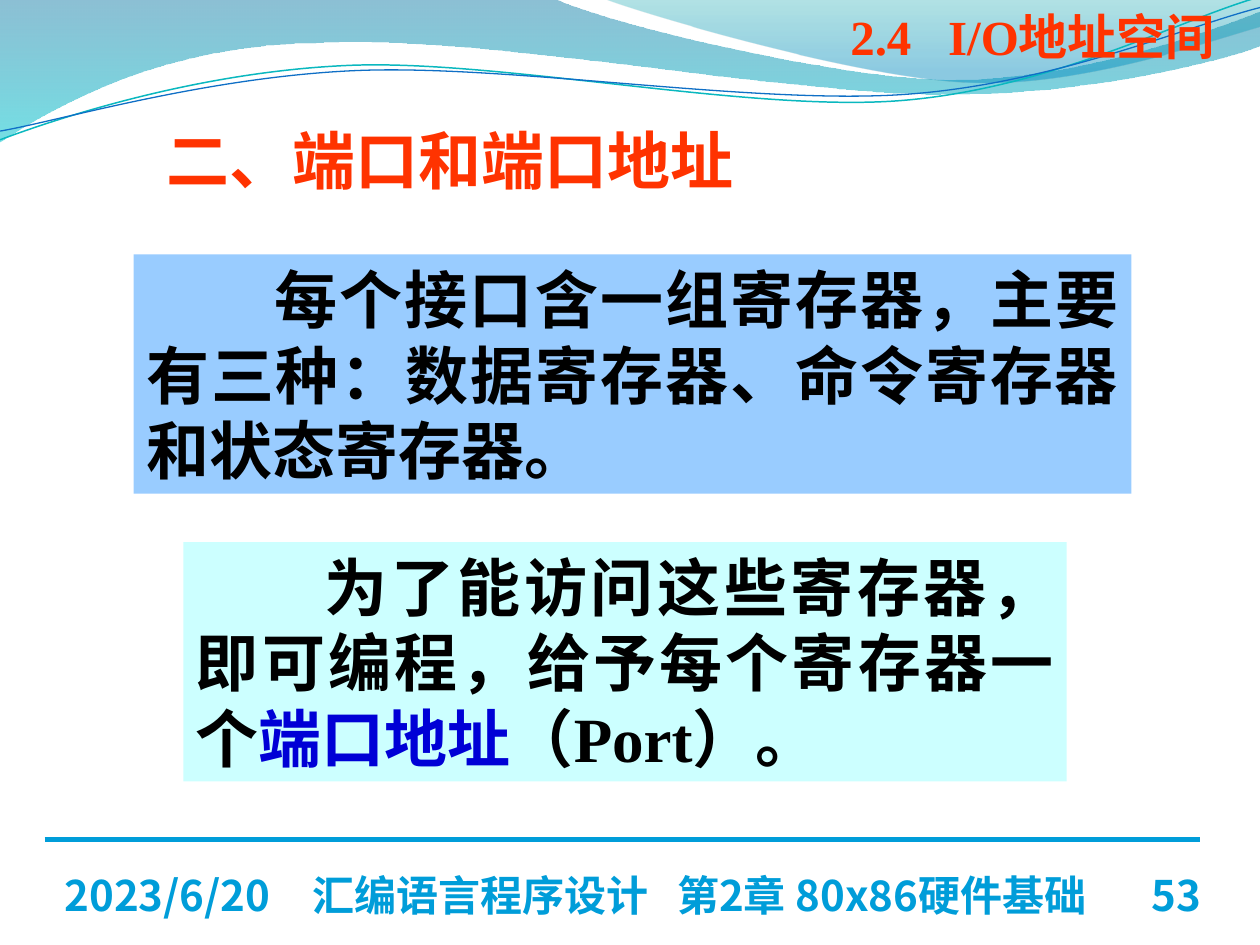
from lxml.etree import SubElement
from pptx import Presentation
from pptx.dml.color import RGBColor
from pptx.enum.shapes import MSO_CONNECTOR as Connector, MSO_SHAPE as Shape
from pptx.enum.text import MSO_ANCHOR as Anchor, PP_ALIGN as Align
from pptx.oxml.ns import qn
from pptx.util import Pt

LATIN, CJK = "Times New Roman", "Noto Sans CJK JP"
RED, BLUE, BLACK = "FF3300", "009DD9", "000000"


def color(hex_code):
    return RGBColor.from_string(hex_code)


def write(frame, *pieces, size=36, font=LATIN, ink=BLACK, align=Align.LEFT,
          anchor=Anchor.TOP, inset=None, indent=0, margin=0):
    """Write one paragraph; a piece is text or (text, ink, letter spacing)."""
    frame.word_wrap = True
    frame.vertical_anchor = anchor
    if inset is not None:
        frame.margin_left = frame.margin_right = Pt(inset)
        frame.margin_top = frame.margin_bottom = Pt(inset)
    paragraph = frame.paragraphs[0]
    paragraph.alignment = align
    props = paragraph._p.get_or_add_pPr()
    props.set("marL", str(Pt(margin)))
    props.set("indent", str(Pt(indent)))
    for piece in pieces:
        words, tint, spacing = (piece, ink, 0) if isinstance(piece, str) else piece
        run = paragraph.add_run()
        run.text = words
        run.font.size, run.font.bold, run.font.name = Pt(size), True, font
        run.font.color.rgb = color(tint)
        run_props = run._r.get_or_add_rPr()
        SubElement(run_props, qn("a:ea"), typeface=CJK)
        if spacing:
            run_props.set("spc", str(spacing * 100))


def label(slide, box, *pieces, **style):
    frame = slide.shapes.add_textbox(*map(Pt, box)).text_frame
    write(frame, *pieces, **style)


def panel(slide, box, fill, *pieces):
    """Coloured block holding a justified paragraph with a first-line indent."""
    block = slide.shapes.add_shape(Shape.RECTANGLE, *map(Pt, box))
    block.shadow.inherit = False
    block.fill.solid()
    block.fill.fore_color.rgb = color(fill)
    block.line.fill.background()
    write(block.text_frame, *pieces, align=Align.JUSTIFY, indent=73.5)


def freeform(slide, left, top, segments, close):
    """Outline from a start point, then lines (2 numbers) and Beziers (6)."""
    points = [(Pt(left + x), Pt(top + y)) for segment in segments
              for x, y in zip(segment[::2], segment[1::2])]
    builder = slide.shapes.build_freeform(*points[0])
    builder.add_line_segments(points[1:], close=close)
    form = builder.convert_to_shape()
    form.shadow.inherit = False
    # Turn each three-point run into one Bezier curve
    corners = iter(list(form._element.iter(qn("a:lnTo"))))
    for segment in segments[1:]:
        corner = next(corners)
        if len(segment) == 6:
            corner.tag = qn("a:cubicBezTo")
            for _ in range(2):
                extra = next(corners)
                corner.append(extra[0])
                extra.getparent().remove(extra)
    return form


def wave(slide, left, top, segments, stops):
    """Closed shape with a see-through gradient running downwards."""
    form = freeform(slide, left, top, segments, True)
    form.line.fill.background()
    form.fill.gradient()
    form.fill.gradient_angle = 270
    for stop, (position, tint, opacity) in zip(form.fill.gradient_stops, stops):
        stop.position = position
        stop.color.rgb = color(tint)
        tint_xml = stop._gs.find(qn("a:srgbClr"))
        SubElement(tint_xml, qn("a:alpha"), val=str(opacity * 1000))


def strand(slide, left, top, segments, ink, width):
    form = freeform(slide, left, top, segments, False)
    form.fill.background()
    form.line.color.rgb = color(ink)
    form.line.width = Pt(width)


def header_waves(slide, left, top):
    # Two gradient waves
    wave(slide, left, top, [
        (0, -0.7), (316.8, -0.7),
        (342.7, 12.2, 478, 45.4, 545.8, 45.4),
        (614.2, 45.4, 689.8, 18.7, 720, 6.5), (720.7, 25.9),
        (707.8, 31.7, 626.4, 54.7, 537.1, 54),
        (447.8, 54, 275, 20.2, 185, 24.5),
        (92.9, 25.2, 33.1, 59.8, -0.7, 81.4)],
        [(0, "0074A1", 45), (1, "00C6CF", 55)])
    wave(slide, left, top, [
        (344.9, -0.7),
        (366.5, 7.9, 491, 44.6, 553.7, 46.8),
        (616.3, 49.7, 691.9, 23, 720, 15.1), (720, 0)],
        [(0, "00A1A9", 30), (0.8, "008BBF", 45)])
    # Two thin strands
    strand(slide, left, top, [
        (0, 79.9),
        (34.6, 67, 113.8, 41, 199.4, 37.4),
        (284.4, 33.8, 427, 64.1, 513.4, 57.6),
        (599.8, 51.1, 675.4, 10.8, 718.6, -1.4)], "0AB8BF", 0.85)
    strand(slide, left, top, [
        (0, 74.9),
        (33.8, 69.1, 118.1, 43.9, 203.8, 40.3),
        (290.2, 36.7, 429.8, 59.8, 516.2, 54),
        (601.9, 48.2, 677.5, 15.1, 720, 4.3)], "0F6FC6", 0.75)


def footer(slide, left, top, width):
    # Rule above the footer
    rule = slide.shapes.add_connector(
        Connector.STRAIGHT, Pt(left), Pt(top), Pt(left + width), Pt(top))
    rule.line.color.rgb = color(BLUE)
    rule.line.width = Pt(3)
    SubElement(rule._element.spPr, qn("a:effectLst"))
    # Page number, date and course
    style = dict(size=24, font=CJK, ink=BLUE, anchor=Anchor.BOTTOM, inset=0)
    row, height = top + 17, 28.8
    label(slide, (left + width - 59, row, 59.8, height), "53",
          align=Align.RIGHT, **style)
    label(slide, (left + 11.5, row, 167.8, height), "2023/6/20", **style)
    label(slide, (left + 153, row, 481.7, height), "汇编语言程序设计",
          (" ", BLUE, 11), "第2章 80x86硬件基础", **style)


def body(slide, left, top):
    label(slide, (left + 11.5, top, 470.9, 50.4), "二、端口和端口地址",
          ink=RED, margin=30, indent=-30)
    panel(slide, (left, top + 79.7, 570.2, 136.8), "99CCFF",
          "每个接口含一组寄存器，主要有三种：数据寄存器、命令寄存器和状态寄存器。")
    panel(slide, (left + 28.4, top + 244.1, 504.7, 136.8), "CCFFFF",
          "为了能访问这些寄存器，即可编程，给予每个寄存器一个",
          ("端口地址", "0000D6", 0), "（Port）。")


def main():
    deck = Presentation()
    deck.slide_width, deck.slide_height = Pt(720), Pt(540)
    slide = deck.slides.add_slide(deck.slide_layouts[6])
    header_waves(slide, 0, 0)
    label(slide, (478.8, 0, 241.2, 41), "2.4", (" ", RED, 14), "I/O地址空间",
          size=28, ink=RED)
    body(slide, 76.4, 65.7)
    footer(slide, 25.5, 479.7, 660)
    deck.save("out.pptx")


if __name__ == "__main__":
    main()
